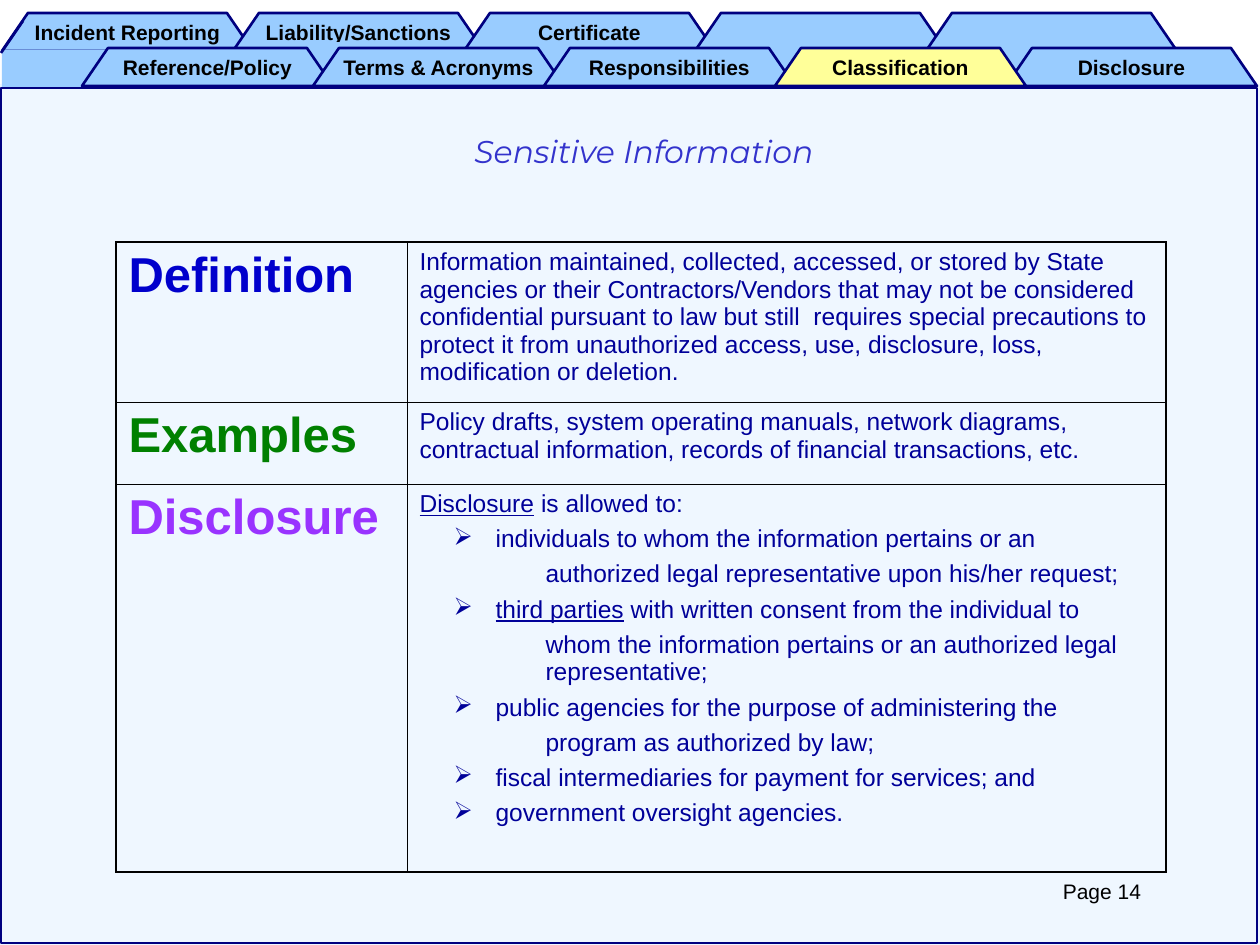
import pptx
import pptx.dml.color
import pptx.enum.shapes
import pptx.enum.text
import pptx.oxml.ns
import pptx.util
from lxml import etree

SCALE = 914400 / 126
FONT = "Arial"
COLORS = {
    "tab": "99CCFF", "active": "FFFF99", "navy": "000080", "black": "000000",
    "title": "3333CC", "body": "000099", "blue": "0000CC",
    "green": "008000", "purple": "9933FF",
}
ALIGN = pptx.enum.text.PP_ALIGN
ANCHOR = pptx.enum.text.MSO_ANCHOR


def emu(px):
    return pptx.util.Emu(round(px * SCALE))


def rgb(name):
    return pptx.dml.color.RGBColor.from_string(COLORS[name])


def node(parent, tag, **attrs):
    return etree.SubElement(parent, pptx.oxml.ns.qn(tag), attrs)


class Deck:
    tab_w, tab_h, slant = 251, 38, 26

    def __init__(self):
        self.show = pptx.Presentation()
        self.show.slide_width, self.show.slide_height = emu(1260), emu(945)
        self.slide = self.show.slides.add_slide(self.show.slide_layouts[5])
        self.shapes = self.slide.shapes

    def run(self, para, text, size, color, font=FONT, **style):
        part = para.add_run()
        part.text = text
        part.font.name, part.font.size = font, pptx.util.Pt(size)
        part.font.color.rgb = rgb(color)
        for key, value in style.items():
            setattr(part.font, key, value)

    def paint(self, shape, fill=None, line=None):
        shape.shadow.inherit = False
        if fill:
            shape.fill.solid()
            shape.fill.fore_color.rgb = rgb(fill)
        else:
            shape.fill.background()
        if line:
            shape.line.color.rgb = rgb(line)
            shape.line.width = pptx.util.Pt(1.5)
        else:
            shape.line.fill.background()

    def rect(self, x, y, w, h, fill=None, line=None, alpha=None):
        kind = pptx.enum.shapes.MSO_SHAPE.RECTANGLE
        shape = self.shapes.add_shape(kind, emu(x), emu(y), emu(w), emu(h))
        self.paint(shape, fill, line)
        if alpha:
            clr = shape.fill._xPr.find(".//" + pptx.oxml.ns.qn("a:srgbClr"))
            node(clr, "a:alpha", val=str(alpha * 1000))

    def tab(self, x, y, label, fill="tab"):
        base, right = y + self.tab_h, x + self.tab_w
        pen = self.shapes.build_freeform(x, base, scale=SCALE)
        pen.add_line_segments(
            [(x + self.slant, y), (right - self.slant, y), (right, base)])
        shape = pen.convert_to_shape()
        self.paint(shape, fill, "navy")
        if label:
            frame = shape.text_frame
            frame.word_wrap = False
            frame.vertical_anchor = ANCHOR.MIDDLE
            para = frame.paragraphs[0]
            para.alignment = ALIGN.CENTER
            self.run(para, label, 12, "black", bold=True)

    def line(self, x1, y1, x2, y2):
        kind = pptx.enum.shapes.MSO_CONNECTOR.STRAIGHT
        edge = self.shapes.add_connector(kind, emu(x1), emu(y1), emu(x2), emu(y2))
        edge.line.color.rgb = rgb("navy")
        edge.line.width = pptx.util.Pt(1.5)
        node(edge._element.spPr, "a:effectLst")

    def title(self, x, y, w, h, text):
        shape = self.shapes.title
        shape.left, shape.top, shape.width, shape.height = map(emu, (x, y, w, h))
        frame = shape.text_frame
        frame.auto_size = pptx.enum.text.MSO_AUTO_SIZE.NONE
        frame.word_wrap = False
        frame.vertical_anchor = ANCHOR.TOP
        para = frame.paragraphs[0]
        para.alignment = ALIGN.CENTER
        self.run(para, text, 18, "title", "Montserrat", italic=True)
        # Bring the title in front of the tabs and the panel.
        self.shapes._spTree.append(shape._element)

    def text(self, x, y, w, h, words):
        frame = self.shapes.add_textbox(emu(x), emu(y), emu(w), emu(h)).text_frame
        frame.word_wrap = True
        para = frame.paragraphs[0]
        para.alignment = ALIGN.CENTER
        self.run(para, words, 12, "black")

    def item(self, para, level, parts):
        """Fill a paragraph: level 0 plain, 1 bulleted, 2 continued line."""
        if level:
            para.level = level
            para.space_before = pptx.util.Pt(4.4)
            props = para._p.get_or_add_pPr()
            left, hang = ((76, -42), (126, 0))[level - 1]
            props.set("marL", str(emu(left)))
            props.set("indent", str(emu(hang)))
            if level == 1:
                node(node(props, "a:buClr"), "a:srgbClr", val=COLORS["body"])
                node(props, "a:buChar", char="➢")
            else:
                node(props, "a:buNone")
        for words, under in parts:
            self.run(para, words, 14, "body", underline=under)

    def border(self, cell, widths):
        props = cell._tc.get_or_add_tcPr()
        for side, width in zip("LRTB", widths):
            edge = node(props, "a:ln" + side, w=str(pptx.util.Pt(width)))
            node(node(edge, "a:solidFill"), "a:srgbClr", val=COLORS["black"])
        cell.fill.background()

    def table(self, x, y, cols, heights, rows):
        last = len(rows) - 1
        grid = self.shapes.add_table(len(rows), len(cols), emu(x), emu(y),
                                     emu(sum(cols)), emu(sum(heights))).table
        grid.first_row = grid.horz_banding = False
        for col, width in zip(grid.columns, cols):
            col.width = emu(width)
        thick, thin = 1.08, 0.45
        for i, (head, color, items) in enumerate(rows):
            grid.rows[i].height = emu(heights[i])
            top = thick if i == 0 else thin
            base = thick if i == last else thin
            name, body = grid.cell(i, 0), grid.cell(i, 1)
            self.border(name, (thick, thin, top, base))
            self.border(body, (thin, thick, top, base))
            self.run(name.text_frame.paragraphs[0], head, 28, color, bold=True)
            frame = body.text_frame
            for n, (level, *parts) in enumerate(items):
                para = frame.add_paragraph() if n else frame.paragraphs[0]
                self.item(para, level, parts)


BACK = ["Incident Reporting", "Liability/Sanctions", "Certificate", "", ""]
FRONT = ["Reference/Policy", "Terms & Acronyms", "Responsibilities",
         "Classification", "Disclosure"]
# Plain strips that hide the lower edge of each back tab
STRIPS = [(2, 50, 208, 38), (273, 42, 105, 32), (504, 48, 105, 32),
          (743, 45, 95, 32), (976, 48, 95, 32)]
STEP = 231
ROWS = [
    ("Definition", "blue", [
        (0, ("Information maintained, collected, accessed, or stored by State "
             "agencies or their Contractors/Vendors that may not be considered "
             "confidential pursuant to law but still  requires special "
             "precautions to protect it from unauthorized access, use, "
             "disclosure, loss, modification or deletion.", False))]),
    ("Examples", "green", [
        (0, ("Policy drafts, system operating manuals, network diagrams, "
             "contractual information, records of financial transactions, "
             "etc.", False))]),
    ("Disclosure", "purple", [
        (0, ("Disclosure", True), (" is allowed to:", False)),
        (1, ("individuals to whom the information pertains or an", False)),
        (2, ("authorized legal representative upon his/her request;", False)),
        (1, ("third parties", True),
         (" with written consent from the individual to", False)),
        (2, ("whom the information pertains or an authorized legal "
             "representative;", False)),
        (1, ("public agencies for the purpose of administering the", False)),
        (2, ("program as authorized by law;", False)),
        (1, ("fiscal intermediaries for payment for services; and", False)),
        (1, ("government oversight agencies.", False))]),
]


def main():
    deck = Deck()
    for i, (label, strip) in enumerate(zip(BACK, STRIPS)):
        deck.tab(2 + i * STEP, 13, label)
        deck.rect(*strip, fill="tab")
        if i == 0:
            deck.line(1, 53, 23, 21)
    deck.rect(0, 84, 1260, 861, fill="tab", alpha=15)
    for i in (0, 1, 4, 2, 3):
        if i == 2:
            deck.rect(1, 88, 1256, 855, line="navy")
        fill = "active" if FRONT[i] == "Classification" else "tab"
        deck.tab(82 + i * STEP, 48, FRONT[i], fill)
    deck.title(210, 126, 868, 73, "Sensitive Information")
    deck.table(116, 242, (291, 759), (160, 82, 388), ROWS)
    deck.text(976, 872, 252, 38, "Page 14")
    deck.show.save("out.pptx")


if __name__ == "__main__":
    main()
